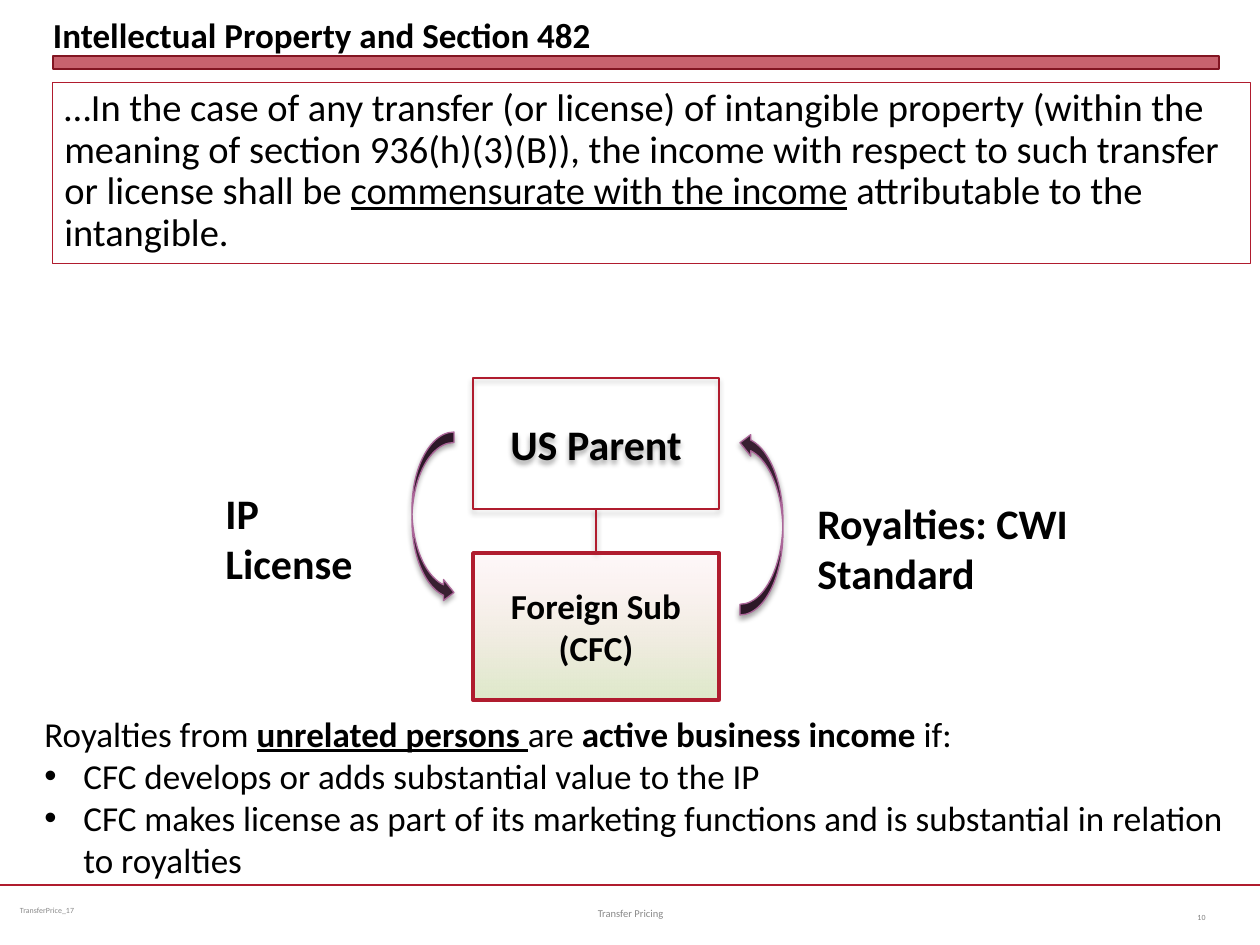
from lxml.etree import SubElement
from pptx import Presentation
from pptx.dml.color import RGBColor
from pptx.enum.shapes import MSO_CONNECTOR as Link, MSO_SHAPE as Geo
from pptx.enum.text import MSO_ANCHOR as Anchor, MSO_AUTO_SIZE as Auto, PP_ALIGN as Align
from pptx.oxml.ns import qn
from pptx.util import Emu, Pt

SCALE = 914400 / 126
BLACK = RGBColor(0x00, 0x00, 0x00)
RED = RGBColor(0xB0, 0x1C, 0x2E)
DARK = RGBColor(0x82, 0x15, 0x22)
PLUM = RGBColor(0x38, 0x1F, 0x31)
MAUVE = RGBColor(0xAB, 0x66, 0x99)
GREEN = RGBColor(0xDE, 0xE9, 0xC9)
PINK = RGBColor(0xFA, 0xDD, 0xE0)
GREY = RGBColor(0x89, 0x89, 0x89)
SILVER = RGBColor(0x80, 0x80, 0x80)

BOLD, UNDER = {"bold": True}, {"underline": True}
MID = {"vertical_anchor": Anchor.MIDDLE}
GROW = {"auto_size": Auto.SHAPE_TO_FIT_TEXT}
FLAT = dict.fromkeys(("margin_left", "margin_top", "margin_right", "margin_bottom"), 0)
SNUG = {"margin_left": Emu(72000), "margin_right": Emu(72000)}

# Each paragraph is a list of (text, run format)
QUOTE = [[
    ("…In the case of any transfer (or license) of intangible property (within the "
     "meaning of section 936(h)(3)(B)), the income with respect to such transfer or "
     "license shall be ", {}),
    ("commensurate with the income", UNDER),
    (" attributable to the intangible.", {}),
]]
RULE = [
    [("Royalties from ", {}), ("unrelated persons ", {**BOLD, **UNDER}), ("are ", {}),
     ("active business income ", BOLD), ("if:", {})],
    [("CFC develops or adds substantial value to the IP", {})],
    [("CFC makes license as part of its marketing functions and is substantial "
      "in relation to royalties", {})],
]

# Place, paragraphs, size, colour, alignment, frame format
LABELS = [
    ((53, 6, 1166, 50), [[("Intellectual Property and Section 482", BOLD)]], 20, BLACK,
     Align.LEFT, {"vertical_anchor": Anchor.BOTTOM, **FLAT}),
    ((805, 491, 355, 50), [[("Royalties: CWI Standard", BOLD)]], 24, BLACK, Align.LEFT, GROW),
    ((213, 481, 154, 50), [[("IP License", BOLD)]], 24, BLACK, Align.LEFT,
     {**GROW, "margin_right": 0}),
    ((10, 885, 325, 50), [[("TransferPrice_17", {})]], 4.5, GREY, Align.LEFT, {**MID, **SNUG}),
    ((431, 888, 399, 50), [[("Transfer Pricing", {})]], 6, GREY, Align.CENTER, MID),
    ((1155, 892, 63, 50), [[("10", {})]], 4.5, SILVER, Align.RIGHT, MID),
]
PARENT = (473, 378, 246, 131)
SUB = (473, 553, 246, 147)
# Place, flipped axis
ARROWS = [((740, 432, 43, 183), "flipV"), ((412, 432, 42, 171), "flipH")]


def px(*nums):
    return [Emu(round(n * SCALE)) for n in nums]


def style(obj, form):
    for key, val in form.items():
        setattr(obj, key, val)


def fade(node, pct):
    SubElement(node, qn("a:alpha"), val=str(pct * 1000))


def shade(item, pct=35):
    """Give a soft shadow straight below, or none at all when pct is 0."""
    props = item._element.spPr
    for old in props.findall(qn("a:effectLst")):
        props.remove(old)
    box = SubElement(props, qn("a:effectLst"))
    if pct:
        glow = SubElement(box, qn("a:outerShdw"), blurRad=str(Pt(3.1)), dist=str(Pt(1.8)),
                          dir="5400000", rotWithShape="0")
        fade(SubElement(glow, qn("a:srgbClr"), val=str(BLACK)), pct)


def write(item, paras, size, color=BLACK, align=Align.LEFT, form=None, space=None, bullets=False):
    frame = item.text_frame
    style(frame, {"word_wrap": True, "vertical_anchor": Anchor.TOP, **(form or {})})
    for i, runs in enumerate(paras):
        para = frame.add_paragraph() if i else frame.paragraphs[0]
        if bullets and i:
            props = para._p.get_or_add_pPr()
            inset = px(39)[0]
            props.set("marL", str(inset))
            props.set("indent", str(-inset))
            SubElement(props, qn("a:buFont"), typeface="Arial")
            SubElement(props, qn("a:buChar"), char="•")
        style(para, {"alignment": align, "line_spacing": space})
        for text, look in runs:
            run = para.add_run()
            run.text = text
            style(run.font, {"name": "Calibri", "size": Pt(size), **look})
            run.font.color.rgb = color


def draw(geo, place, line, width, fill=None):
    item = shapes.add_shape(geo, *px(*place))
    item.shadow.inherit = False
    if fill is None:
        item.fill.background()
    else:
        item.fill.solid()
        item.fill.fore_color.rgb = fill
    item.line.color.rgb = line
    item.line.width = Pt(width)
    return item


def join(ends, width, pct=0):
    line = shapes.add_connector(Link.STRAIGHT, *px(*ends))
    line.line.color.rgb = RED
    line.line.width = Pt(width)
    shade(line, pct)


deck = Presentation()
deck.slide_width, deck.slide_height = px(1260, 945)
shapes = deck.slides.add_slide(deck.slide_layouts[6]).shapes

join((0, 885, 1260, 885), 1.25)
bar = draw(Geo.RECTANGLE, (53, 56, 1166, 13), DARK, 0, RED)
fade(bar._element.spPr.find(qn("a:solidFill"))[0], 69)

parent = draw(Geo.RECTANGLE, PARENT, RED, 0.75)
shade(parent)
write(parent, [[("US Parent", BOLD)]], 24, align=Align.CENTER, form=MID)

mid = PARENT[0] + PARENT[2] // 2
join((mid, PARENT[1] + PARENT[3], mid, SUB[1]), 1, 38)

sub = draw(Geo.RECTANGLE, SUB, RED, 2)
sub.fill.gradient()
sub.fill.gradient_angle = 90
for stop, color, spot in zip(sub.fill.gradient_stops, (GREEN, PINK), (0, 1)):
    stop.color.rgb = color
    stop.position = spot
fade(sub._element.spPr.findall(".//" + qn("a:gs"))[1][0], 19)
write(sub, [[("Foreign Sub", BOLD)], [("(CFC)", BOLD)]], 20, align=Align.CENTER, form=MID)

for place, flip in ARROWS:
    arrow = draw(Geo.CURVED_LEFT_ARROW, place, MAUVE, 0.75, PLUM)
    arrow._element.spPr.find(qn("a:xfrm")).set(flip, "1")
    shade(arrow)

quote = draw(Geo.RECTANGLE, (52, 82, 1198, 181), RED, 0.25)
write(quote, QUOTE, 22, form=GROW, space=0.9)
rule = shapes.add_textbox(*px(32, 706, 1217, 183))
write(rule, RULE, 20, form=GROW, bullets=True)
for place, *rest in LABELS:
    write(shapes.add_textbox(*px(*place)), *rest)

deck.save("out.pptx")
